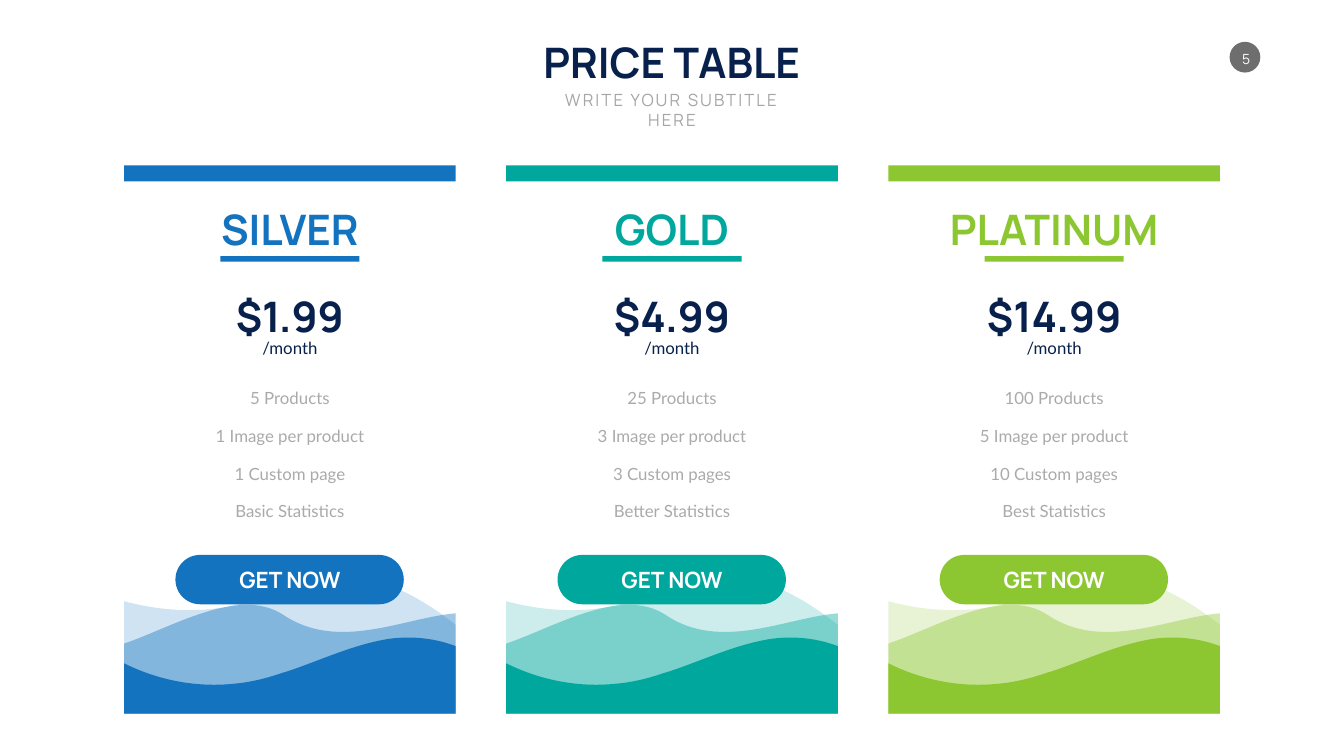
from lxml.etree import SubElement
from pptx import Presentation
from pptx.dml.color import RGBColor
from pptx.enum.shapes import MSO_SHAPE as Kind
from pptx.enum.text import MSO_ANCHOR as Anchor, MSO_AUTO_SIZE as Auto, PP_ALIGN as Align
from pptx.oxml.ns import qn
from pptx.util import Inches, Pt

WIDE, HIGH = 26.66, 15
NAVY, PALE, GREY, WHITE = "08204C", "A6A6A6", "AAAAAA", "FFFFFF"
HEAD, BODY = "Manrope", "Lato"
PLANS = [
    ("SILVER", 2.99, "$1.99", 2.34, "1373BF",
     ["5 Products", "1 Image per product", "1 Custom page", "Basic Statistics"]),
    ("GOLD", 2.52, "$4.99", 2.6, "00A79D",
     ["25 Products", "3 Image per product", "3 Custom pages", "Better Statistics"]),
    ("PLATINUM", 4.5, "$14.99", 2.91, "8CC731",
     ["100 Products", "5 Image per product", "10 Custom pages", "Best Statistics"]),
]
LEFT, STEP, COL = 2.46, 7.58, 6.58
TOP, BASE = 3.59, 14.16
WAVES = [
    (20, (0, 11.93), [
        (0.87, 12.16), (2.02, 12.25), (3.08, 11.67),
        (4.37, 10.96), (5.74, 11.73), (COL, 12.4)]),
    (40, (0, 12.77), [
        (0.93, 12.46), (2.28, 11.62), (3.16, 12.2),
        (4.26, 12.94), (5.56, 12.25), (COL, 12.17)]),
    (100, (0, 13.16), [
        (0.66, 13.49), (1.41, 13.64), (2.14, 13.57),
        (2.25, 13.56), (2.35, 13.55), (2.46, 13.53),
        (2.69, 13.49), (2.91, 13.43), (3.14, 13.35),
        (3.22, 13.33), (3.3, 13.3), (3.39, 13.27),
        (3.98, 13.06), (4.56, 12.8), (5.17, 12.69),
        (5.33, 12.66), (5.49, 12.65), (5.65, 12.65),
        (5.97, 12.65), (6.29, 12.71), (COL, 12.82)]),
]


def color(code):
    return RGBColor.from_string(code)


def paint(shape, code, alpha=100):
    shape.shadow.inherit = False
    shape.fill.solid()
    shape.fill.fore_color.rgb = color(code)
    shape.line.fill.background()
    if alpha < 100:
        tone = shape.fill._xPr.find(".//" + qn("a:srgbClr"))
        SubElement(tone, qn("a:alpha")).set("val", str(alpha * 1000))


def block(slide, kind, x, y, w, h, code):
    shape = slide.shapes.add_shape(kind, Inches(x), Inches(y), Inches(w), Inches(h))
    paint(shape, code)
    return shape


def write(shape, text, size, code, font=HEAD, bold=False, wrap=False, anchor=Anchor.MIDDLE):
    frame = shape.text_frame
    frame.auto_size = Auto.NONE
    frame.word_wrap = wrap
    frame.vertical_anchor = anchor
    para = frame.paragraphs[0]
    para.alignment = Align.CENTER
    run = para.add_run()
    run.text = text
    run.font.size = Pt(size)
    run.font.name = font
    run.font.bold = bold
    run.font.color.rgb = color(code)
    return para, run


def label(slide, mid, y, w, h, *args, **more):
    box = slide.shapes.add_textbox(Inches(mid - w / 2), Inches(y), Inches(w), Inches(h))
    return write(box, *args, **more)


def bend(shape, count):
    lines = list(shape._element.iter(qn("a:lnTo")))[:count]
    for i in range(0, count, 3):
        first, *rest = lines[i:i + 3]
        first.tag = qn("a:cubicBezTo")
        for line in rest:
            first.append(line[0])
            line.getparent().remove(line)


def wave(slide, x, start, curve, code, alpha):
    edge = [start, *curve, (COL, BASE), (0, BASE)]
    spots = [(Inches(x + px), Inches(py)) for px, py in edge]
    pen = slide.shapes.build_freeform(*spots[0])
    pen.add_line_segments(spots[1:], close=True)
    shape = pen.convert_to_shape()
    bend(shape, len(curve))
    paint(shape, code, alpha)


def card(slide, x, name, name_w, price, price_w, code, items):
    mid = x + COL / 2
    block(slide, Kind.RECTANGLE, x, TOP, COL, BASE - TOP, WHITE)
    for alpha, start, curve in WAVES:
        wave(slide, x, start, curve, code, alpha)
    block(slide, Kind.RECTANGLE, mid - 1.38, 5.08, 2.76, 0.11, code)
    button = block(slide, Kind.ROUNDED_RECTANGLE, mid - 2.27, 11.01, 4.53, 0.98, code)
    button.adjustments[0] = 0.5
    block(slide, Kind.RECTANGLE, x, 3.28, COL, 0.32, code)
    label(slide, mid, 3.97, name_w, 1.11, name, 60, code, bold=True, anchor=Anchor.BOTTOM)
    label(slide, mid, 11.18, 2.31, 0.64, "GET NOW", 32, WHITE, bold=True)
    label(slide, mid, 5.7, price_w, 1.11, price, 60, NAVY, bold=True)
    label(slide, mid, 6.65, 1.29, 0.5, "/month", 24, NAVY, BODY)
    for row, item in enumerate(items):
        para, _ = label(slide, mid, 7.58 + 0.75 * row, 5.61, 0.54, item, 24, GREY, BODY, wrap=True)
        para.line_spacing = Pt(35)


def main():
    deck = Presentation()
    deck.slide_width, deck.slide_height = Inches(WIDE), Inches(HIGH)
    slide = deck.slides.add_slide(deck.slide_layouts[5])

    title = slide.shapes.title
    title.left, title.top = Inches(10.66), Inches(0.67)
    title.width, title.height = Inches(5.33), Inches(1.11)
    write(title, "PRICE TABLE", 60, NAVY, bold=True, anchor=Anchor.TOP)
    _, run = label(slide, WIDE / 2, 1.73, 5.43, 0.5, "WRITE YOUR SUBTITLE HERE",
                   24, PALE, wrap=True, anchor=Anchor.TOP)
    run.font._element.set("spc", "300")

    block(slide, Kind.OVAL, 24.39, 0.83, 0.61, 0.61, "6E6E6E")
    label(slide, 24.72, 0.99, 0.41, 0.34, "5", 20, WHITE)

    for i, plan in enumerate(PLANS):
        card(slide, LEFT + i * STEP, *plan)
    deck.save("out.pptx")


if __name__ == "__main__":
    main()
